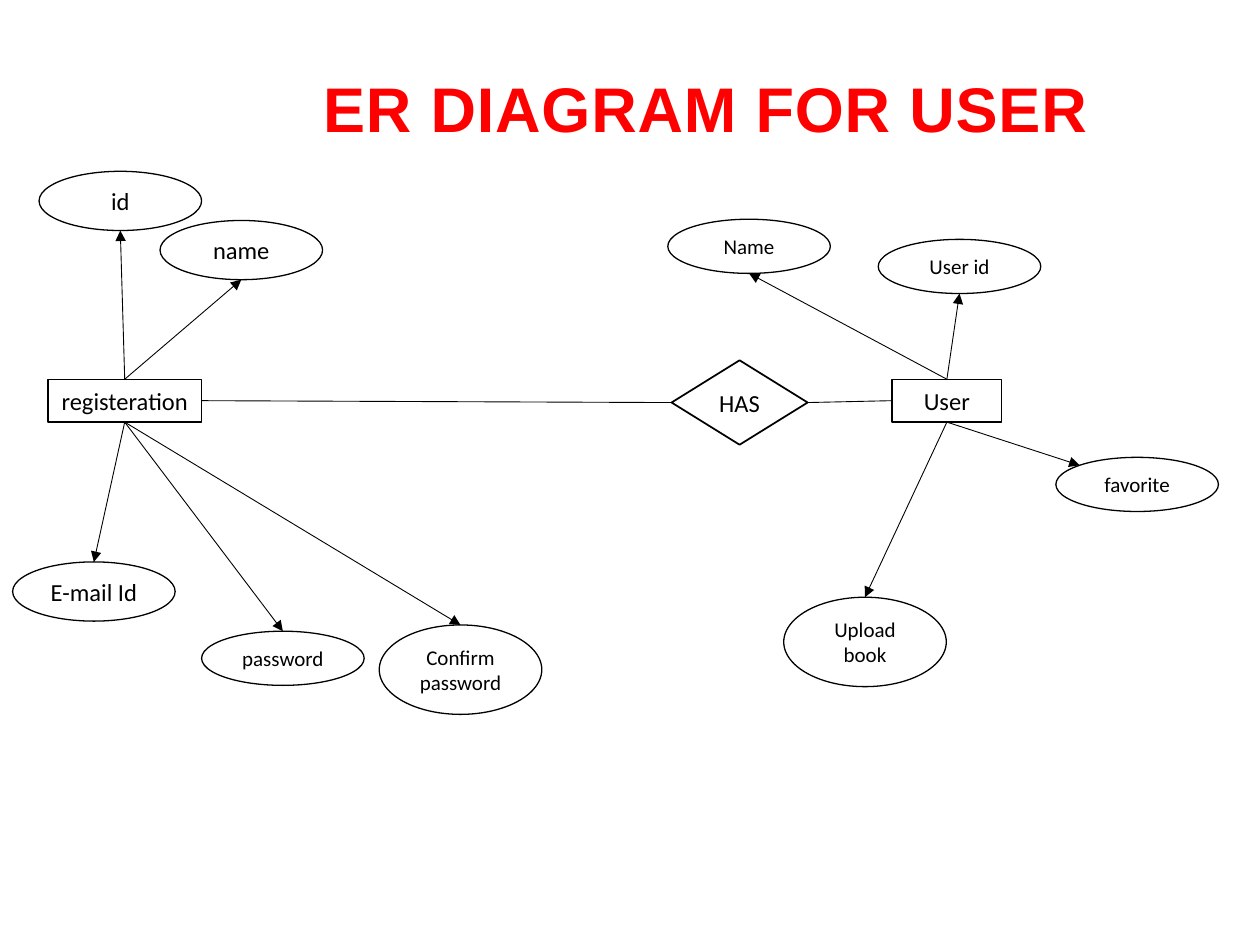
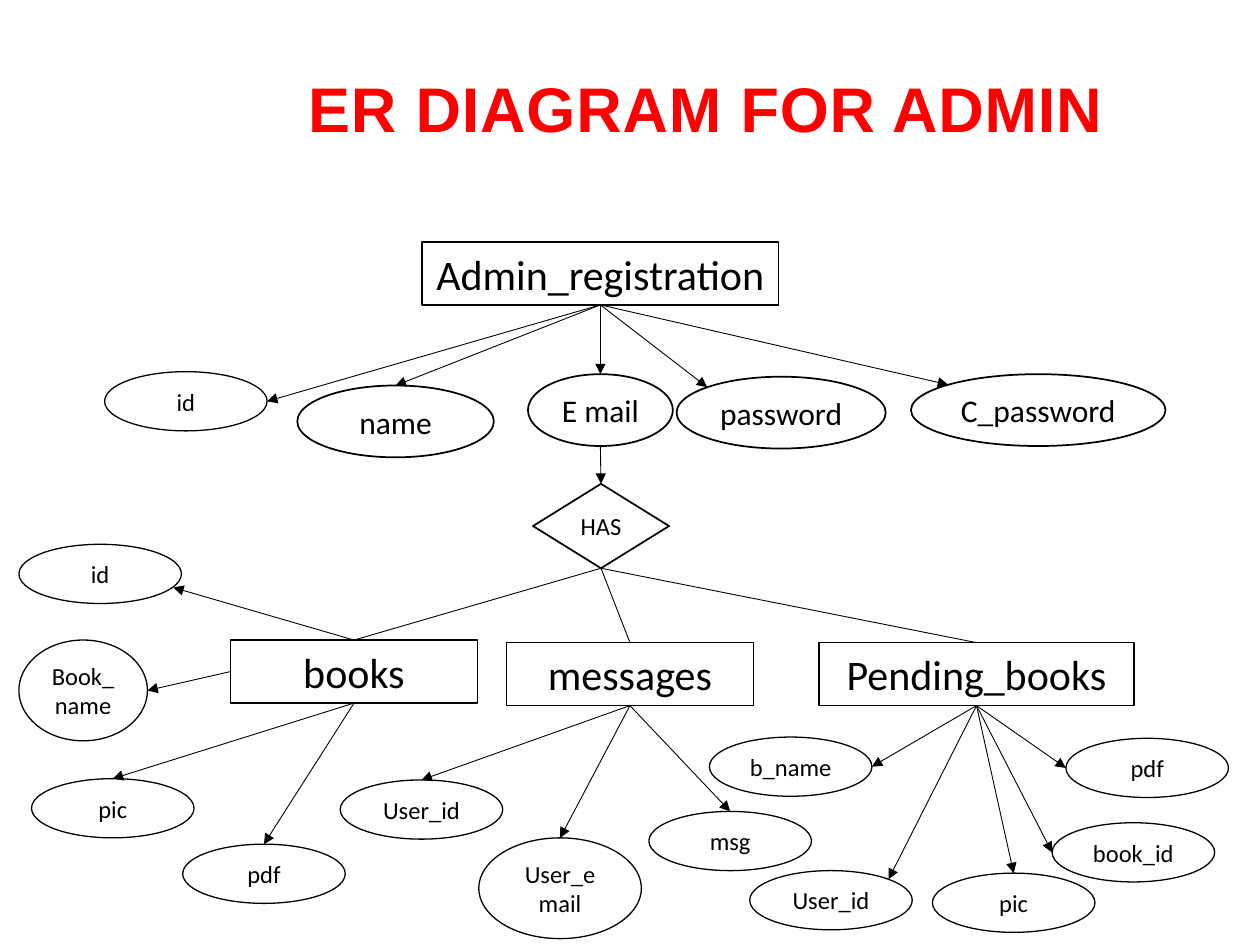
from pptx import Presentation
from pptx.dml.color import RGBColor
from pptx.enum.shapes import MSO_CONNECTOR as Connector, MSO_SHAPE as Shape
from pptx.enum.text import MSO_ANCHOR as Anchor, PP_ALIGN as Align
from pptx.oxml.ns import qn
from pptx.util import Inches, Pt
from lxml import etree

COLORS = {"title": "FF0000", "ink": "000000", "paper": "FFFFFF"}
TITLE_FONT, LABEL_FONT = "Arial", "Calibri"
TITLE_CENTER = 5.6
OVAL_WIDTH, OVAL_HEIGHT = 1.29, 0.47

# Places on a shape's outline, as fractions of its width and height
SITES = {
    "top": (0.5, 0), "left": (0, 0.5), "bottom": (0.5, 1), "right": (1, 0.5),
    "top left": (0.146, 0.146), "top right": (0.854, 0.146),
    "bottom right": (0.95, 0.73),
}
GLUE = {"top": 0, "left": 1, "bottom": 2, "right": 3}


def color(name):
    return RGBColor.from_string(COLORS[name])


def add_page(deck, title, title_width):
    """Add a blank page with the shared title style."""
    page = deck.slides.add_slide(deck.slide_layouts[6])
    box = page.shapes.add_textbox(Inches(TITLE_CENTER - title_width / 2), Inches(0.5),
                                  Inches(title_width), Inches(0.71))
    box.text_frame.word_wrap = False
    para = box.text_frame.paragraphs[0]
    para.alignment = Align.CENTER
    span = para.add_run()
    span.text = title
    span._r.get_or_add_rPr().set("spc", "50")
    para.font.name, para.font.size, para.font.bold = TITLE_FONT, Pt(36), True
    para.font.color.rgb = color("title")
    return page


def add_node(page, kind, text, place, size=14, heavy=False, wrap=True):
    """Add an outlined, labelled shape; heavy ones are filled and thicker."""
    node = page.shapes.add_shape(kind, *map(Inches, place))
    node.shadow.inherit = False
    if heavy:
        node.fill.solid()
        node.fill.fore_color.rgb = color("paper")
    else:
        node.fill.background()
    node.line.color.rgb = color("ink")
    node.line.width = Pt(1 if heavy else 0.75)
    frame = node.text_frame
    frame.word_wrap = wrap
    frame.vertical_anchor = Anchor.MIDDLE
    para = frame.paragraphs[0]
    para.text = text
    para.alignment = Align.CENTER
    para.font.name, para.font.size = LABEL_FONT, Pt(size)
    para.font.color.rgb = color("ink")
    return node


def add_has(page, left, top):
    return add_node(page, Shape.DIAMOND, "HAS", (left, top, 1.08, 0.67),
                    heavy=True, wrap=False)


def site(node, side):
    across, down = SITES[side]
    return int(node.left + across * node.width), int(node.top + down * node.height)


def link(page, start, start_side, end, end_side, arrow=True):
    """Draw a line between two shapes, joined at four-sided ones."""
    line = page.shapes.add_connector(Connector.STRAIGHT, *site(start, start_side),
                                     *site(end, end_side))
    four_sided = (Shape.RECTANGLE, Shape.DIAMOND)
    if start.auto_shape_type in four_sided:
        line.begin_connect(start, GLUE[start_side])
    if end.auto_shape_type in four_sided:
        line.end_connect(end, GLUE[end_side])
    line.line.color.rgb = color("ink")
    line.line.width = Pt(0.5)
    properties = line.element.spPr
    if arrow:
        etree.SubElement(properties.find(qn("a:ln")), qn("a:tailEnd"), type="triangle")
    etree.SubElement(properties, qn("a:effectLst"))


def add_attributes(page, entity, rows):
    """Add ovals, each with an arrow from the entity."""
    for text, left, top, width, height, size, start_side, end_side in rows:
        oval = add_node(page, Shape.OVAL, text, (left, top, width, height), size)
        link(page, entity, start_side, oval, end_side)


def build_user_page(deck):
    page = add_page(deck, "ER DIAGRAM FOR USER", 6.34)

    # Entities and their relation
    registration = add_node(page, Shape.RECTANGLE, "registeration", (0.38, 3.01, 1.22, 0.34))
    has = add_has(page, 5.33, 2.86)
    user = add_node(page, Shape.RECTANGLE, "User", (7.08, 3.01, 0.87, 0.34))
    link(page, registration, "right", has, "left", arrow=False)
    link(page, has, "right", user, "left", arrow=False)

    # Attributes
    low, tall = 0.43, 0.71
    add_attributes(page, registration, [
        ("id", 0.31, 1.36, OVAL_WIDTH, OVAL_HEIGHT, 14, "top", "bottom"),
        ("name", 1.27, 1.75, OVAL_WIDTH, OVAL_HEIGHT, 14, "top", "bottom"),
        ("E-mail Id", 0.1, 4.46, OVAL_WIDTH, OVAL_HEIGHT, 14, "bottom", "top"),
        ("password", 1.6, 5.01, OVAL_WIDTH, low, 12, "bottom", "top"),
        ("Confirm password", 3.01, 4.96, OVAL_WIDTH, tall, 12, "bottom", "top"),
    ])
    add_attributes(page, user, [
        ("Name", 5.3, 1.74, OVAL_WIDTH, low, 12, "top", "bottom"),
        ("User id", 6.97, 1.9, OVAL_WIDTH, low, 12, "top", "bottom"),
        ("favorite", 8.38, 3.63, OVAL_WIDTH, low, 12, "bottom", "top left"),
        ("Upload book", 6.22, 4.74, OVAL_WIDTH, tall, 12, "bottom", "top"),
    ])


def build_admin_page(deck):
    page = add_page(deck, "ER DIAGRAM FOR ADMIN", 6.58)

    # Admin and its attributes
    admin = add_node(page, Shape.RECTANGLE, "Admin_registration",
                     (3.35, 1.92, 2.83, 0.5), 24, heavy=True, wrap=False)
    add_attributes(page, admin, [
        ("id", 0.83, 2.95, OVAL_WIDTH, OVAL_HEIGHT, 14, "bottom", "right"),
    ])
    details = {}
    for text, left, top, width, end_side in [
        ("name", 2.36, 3.06, 1.56, "top"),
        ("E mail", 4.19, 2.97, 1.15, "top"),
        ("password", 5.37, 2.99, 1.66, "top left"),
        ("C_password", 7.23, 2.97, 2.02, "top left"),
    ]:
        details[text] = add_node(page, Shape.FLOWCHART_CONNECTOR, text,
                                 (left, top, width, 0.57), 18, heavy=True, wrap=False)
        link(page, admin, "bottom", details[text], end_side)

    # Relation
    has = add_has(page, 4.23, 3.84)
    link(page, details["E mail"], "bottom", has, "top")

    # Managed entities: place, then attributes
    tall = 0.8
    entities = [
        ("books", 1.83, 5.08, 1.96, [
            ("id", 0.15, 4.32, OVAL_WIDTH, OVAL_HEIGHT, 14, "top", "bottom right"),
            ("Book_name", 0.15, 5.08, 1.02, tall, 14, "left", "right"),
            ("pic", 0.25, 6.18, OVAL_WIDTH, OVAL_HEIGHT, 14, "bottom", "top"),
            ("pdf", 1.45, 6.7, OVAL_WIDTH, OVAL_HEIGHT, 14, "bottom", "top"),
        ]),
        ("messages", 4.02, 5.1, 1.96, [
            ("User_id", 2.7, 6.19, OVAL_WIDTH, OVAL_HEIGHT, 14, "bottom", "top"),
            ("User_email", 3.8, 6.65, OVAL_WIDTH, tall, 14, "bottom", "top"),
            ("msg", 5.15, 6.44, OVAL_WIDTH, OVAL_HEIGHT, 14, "bottom", "top"),
        ]),
        ("Pending_books", 6.5, 5.1, 2.5, [
            ("b_name", 5.63, 5.85, OVAL_WIDTH, OVAL_HEIGHT, 14, "bottom", "right"),
            ("User_id", 5.95, 6.91, OVAL_WIDTH, OVAL_HEIGHT, 14, "bottom", "top right"),
            ("pic", 7.4, 6.93, OVAL_WIDTH, OVAL_HEIGHT, 14, "bottom", "top"),
            ("book_id", 8.35, 6.53, OVAL_WIDTH, OVAL_HEIGHT, 14, "bottom", "left"),
            ("pdf", 8.46, 5.86, OVAL_WIDTH, OVAL_HEIGHT, 14, "bottom", "left"),
        ]),
    ]
    for text, left, top, width, attributes in entities:
        entity = add_node(page, Shape.RECTANGLE, text, (left, top, width, 0.5), 24, heavy=True)
        link(page, has, "bottom", entity, "top", arrow=False)
        add_attributes(page, entity, attributes)


def main():
    deck = Presentation()
    deck.slide_width, deck.slide_height = Inches(10), Inches(7.5)
    build_user_page(deck)
    build_admin_page(deck)
    deck.save("out.pptx")


if __name__ == "__main__":
    main()
